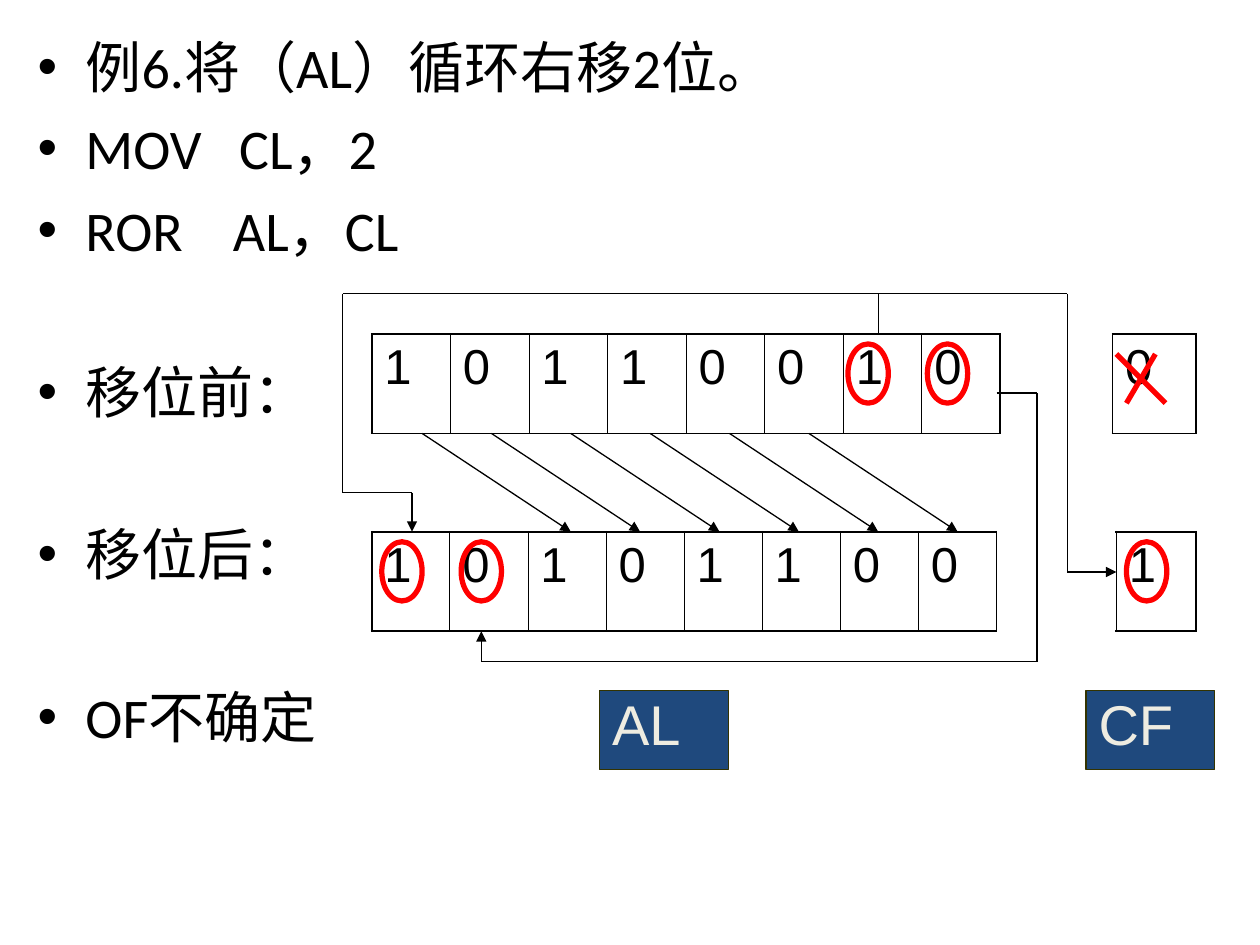
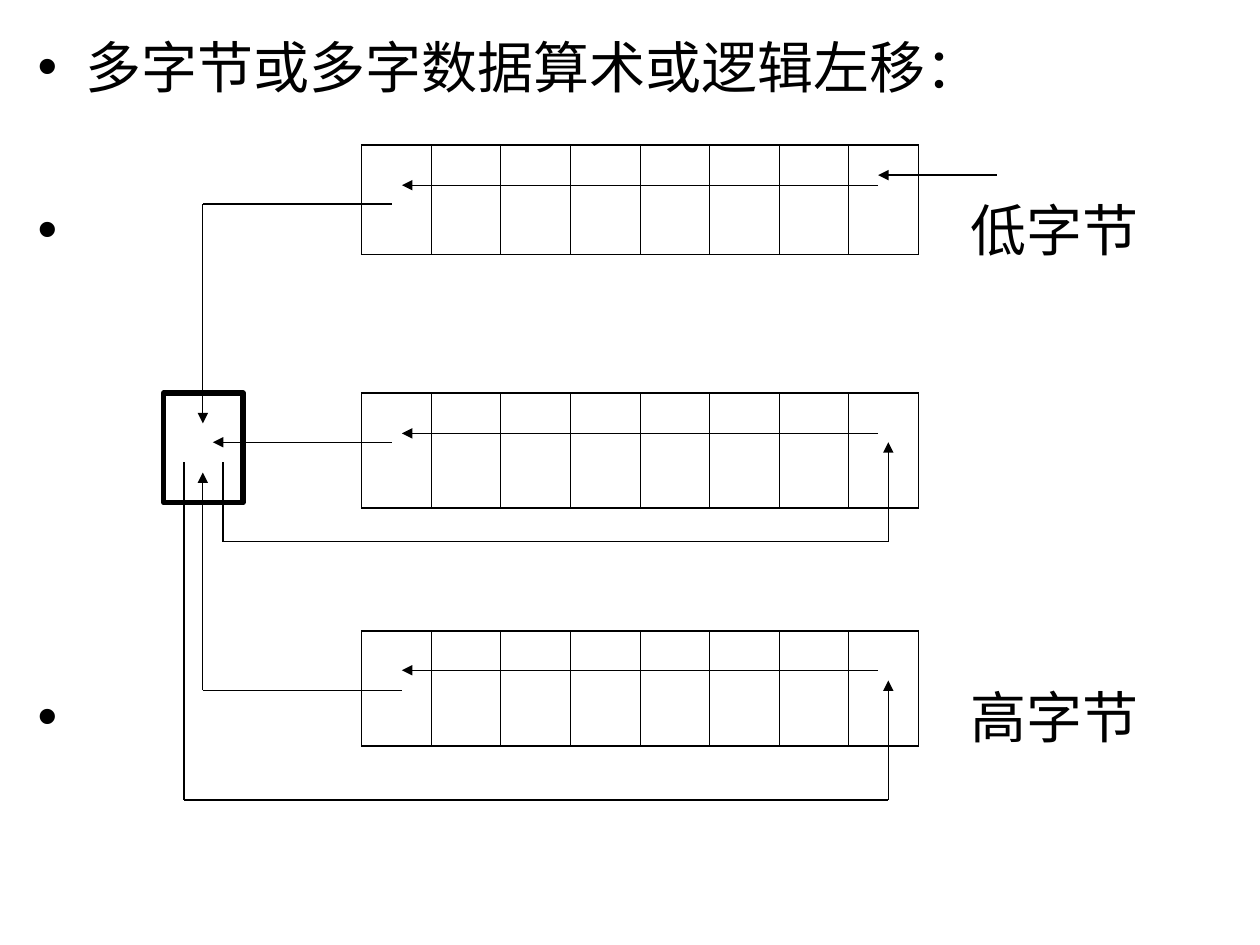
"""Build two slides on rotating and shifting bits across bytes."""
from itertools import pairwise

from lxml.etree import SubElement
from pptx import Presentation
from pptx.dml.color import RGBColor
from pptx.enum.shapes import MSO_CONNECTOR, MSO_SHAPE
from pptx.enum.text import MSO_ANCHOR, PP_ALIGN
from pptx.oxml.ns import qn
from pptx.util import Inches, Pt

LINE = MSO_CONNECTOR.STRAIGHT
RECT = MSO_SHAPE.RECTANGLE
OVAL = MSO_SHAPE.OVAL
TOP = MSO_ANCHOR.TOP
LEFT = PP_ALIGN.LEFT

COLORS = {
    "ink": "000000",
    "mark": "FF0000",
    "label": "1F497D",
    "edge": "333300",
    "pale": "EEECE1",
}
STEP = 46.4
BITS = 8


def color(name):
    return RGBColor.from_string(COLORS[name])


def write(para, text, size=32, font="Arial", ink="ink", gap=0, pitch=None):
    para.alignment = LEFT
    para.space_before = Pt(gap)
    if pitch:
        para.line_spacing = pitch
    run = para.add_run()
    run.text = text
    run.font.size = Pt(size)
    run.font.name = font
    run.font.color.rgb = color(ink)


class Deck:
    """Hold the shared style and the current slide."""

    def __init__(self):
        self.prs = Presentation()
        self.prs.slide_width = Inches(10)
        self.prs.slide_height = Inches(7.5)
        self.slide = None

    def page(self):
        self.slide = self.prs.slides.add_slide(self.prs.slide_layouts[6])

    def points(self, items, font):
        box = self.slide.shapes.add_textbox(
            Inches(0.2), Inches(0.21), Inches(9.61), Inches(7.09))
        frame = box.text_frame
        frame.word_wrap = True
        for i, (text, skip, tab) in enumerate(items):
            para = frame.add_paragraph() if i else frame.paragraphs[0]
            props = para._p.get_or_add_pPr()
            props.set("marL", str(Inches(0.38)))
            props.set("indent", str(-Inches(0.38)))
            SubElement(props, qn("a:buFont"), typeface="Arial")
            SubElement(props, qn("a:buChar"), char="•")
            if tab:
                stops = SubElement(props, qn("a:tabLst"))
                SubElement(stops, qn("a:tab"), pos=str(Inches(tab)), algn="l")
            write(para, text, font=font, gap=8 + skip * STEP)

    def cells(self, left, top, width, height, texts):
        count = len(texts)
        table = self.slide.shapes.add_table(
            1, count, Inches(left), Inches(top),
            Inches(width), Inches(height)).table
        table.first_row = table.horz_banding = False
        for i, text in enumerate(texts):
            table.columns[i].width = Inches(width / count)
            cell = table.cell(0, i)
            if text:
                write(cell.text_frame.paragraphs[0], text, size=28, gap=7)
            thick = {"L": i == 0, "R": i == count - 1, "T": True, "B": True}
            props = cell._tc.get_or_add_tcPr()
            for side, bold in thick.items():
                edge = SubElement(props, qn(f"a:ln{side}"),
                                  w=str(Pt(1.08 if bold else 0.45)))
                fill = SubElement(edge, qn("a:solidFill"))
                SubElement(fill, qn("a:srgbClr"), val=COLORS["ink"])
            cell.fill.background()

    def shape(self, kind, left, top, width, height,
              edge="ink", weight=3, fill=None):
        shape = self.slide.shapes.add_shape(
            kind, Inches(left), Inches(top), Inches(width), Inches(height))
        shape.shadow.inherit = False
        shape.line.color.rgb = color(edge)
        shape.line.width = Pt(weight)
        if fill:
            shape.fill.solid()
            shape.fill.fore_color.rgb = color(fill)
        else:
            shape.fill.background()
        return shape

    def label(self, left, text):
        frame = self.shape(RECT, left, 5.48, 1.02, 0.63,
                           edge="edge", weight=0.75, fill="label").text_frame
        frame.vertical_anchor = TOP
        write(frame.paragraphs[0], text, ink="pale", pitch=0.9)

    def ring(self, left, top):
        self.shape(OVAL, left, top, 0.32, 0.47, edge="mark")

    def route(self, *stops, arrow=True, ink="ink", weight=0.75):
        for start, end in pairwise(stops):
            link = self.slide.shapes.add_connector(
                LINE, *(Inches(n) for n in start + end))
            link.line.color.rgb = color(ink)
            link.line.width = Pt(weight)
            if arrow and end == stops[-1]:
                SubElement(link.line._get_or_add_ln(), qn("a:tailEnd"),
                           type="triangle")
            SubElement(link._element.spPr, qn("a:effectLst"))


def rotate(deck):
    deck.page()
    deck.points([
        ("例6.将（AL）循环右移2位。", 0, None),
        ("MOV\tCL，2", 0, 1.6),
        ("ROR\tAL，CL", 0, 1.55),
        ("移位前：", 1, None),
        ("移位后：", 1, None),
        ("OF不确定", 1, None),
    ], "Calibri")
    old, new, high = 2.65, 4.22, 0.79
    deck.cells(2.95, old, 4.99, high, "10110010")
    deck.cells(8.83, old, 0.66, high, "0")
    deck.cells(2.95, new, 4.96, high, "10101100")
    deck.cells(8.86, new, 0.63, high, "1")
    deck.label(4.76, "AL")
    deck.label(8.62, "CF")

    for start, end in (((8.86, 2.81), (9.25, 3.2)), ((9.17, 2.81), (8.94, 3.2))):
        deck.route(start, end, arrow=False, ink="mark", weight=3)
    for x in [3.35] + [3.9 + 0.63 * i for i in range(5)]:
        deck.route((x, old + high), (x + 1.18, new))
    fork = (6.97, 2.33)
    deck.route((6.97, old), fork, (2.72, 2.33), (2.72, 3.91),
               (3.27, 3.91), (3.27, new))
    deck.route(fork, (8.47, 2.33), (8.47, 4.54), (8.86, 4.54))
    deck.route((7.91, 3.12), (8.23, 3.12), (8.23, 5.25),
               (3.82, 5.25), (3.82, new + high))
    for x in (6.73, 7.36):
        deck.ring(x, old + 0.08)
    for x in (3.03, 3.66, 8.94):
        deck.ring(x, new + 0.08)


def shift(deck):
    deck.page()
    deck.points([
        ("多字节或多字数据算术或逻辑左移：", 0, None),
        ("\t低字节", 1, 7.4),
        ("\t高字节", 5, 7.4),
    ], "Arial")
    for top, high in ((1.15, 0.87), (3.12, 0.91), (5.01, 0.91)):
        deck.cells(2.87, top, 4.42, high, [""] * BITS)
    deck.shape(RECT, 1.3, 3.12, 0.63, 0.87)

    for y in (1.47, 3.44, 5.32):
        deck.route((6.97, y), (3.19, y))
    deck.route((7.91, 1.39), (6.97, 1.39))
    deck.route((3.11, 1.62), (1.61, 1.62), (1.61, 3.36))
    deck.route((1.77, 3.67), (1.77, 4.3), (7.05, 4.3), (7.05, 3.51))
    deck.route((3.11, 3.51), (1.69, 3.51))
    deck.route((1.46, 3.67), (1.46, 6.35), (7.05, 6.35), (7.05, 5.4))
    deck.route((3.19, 5.48), (1.61, 5.48), (1.61, 3.75))


def main():
    deck = Deck()
    rotate(deck)
    shift(deck)
    deck.prs.save("out.pptx")


if __name__ == "__main__":
    main()
